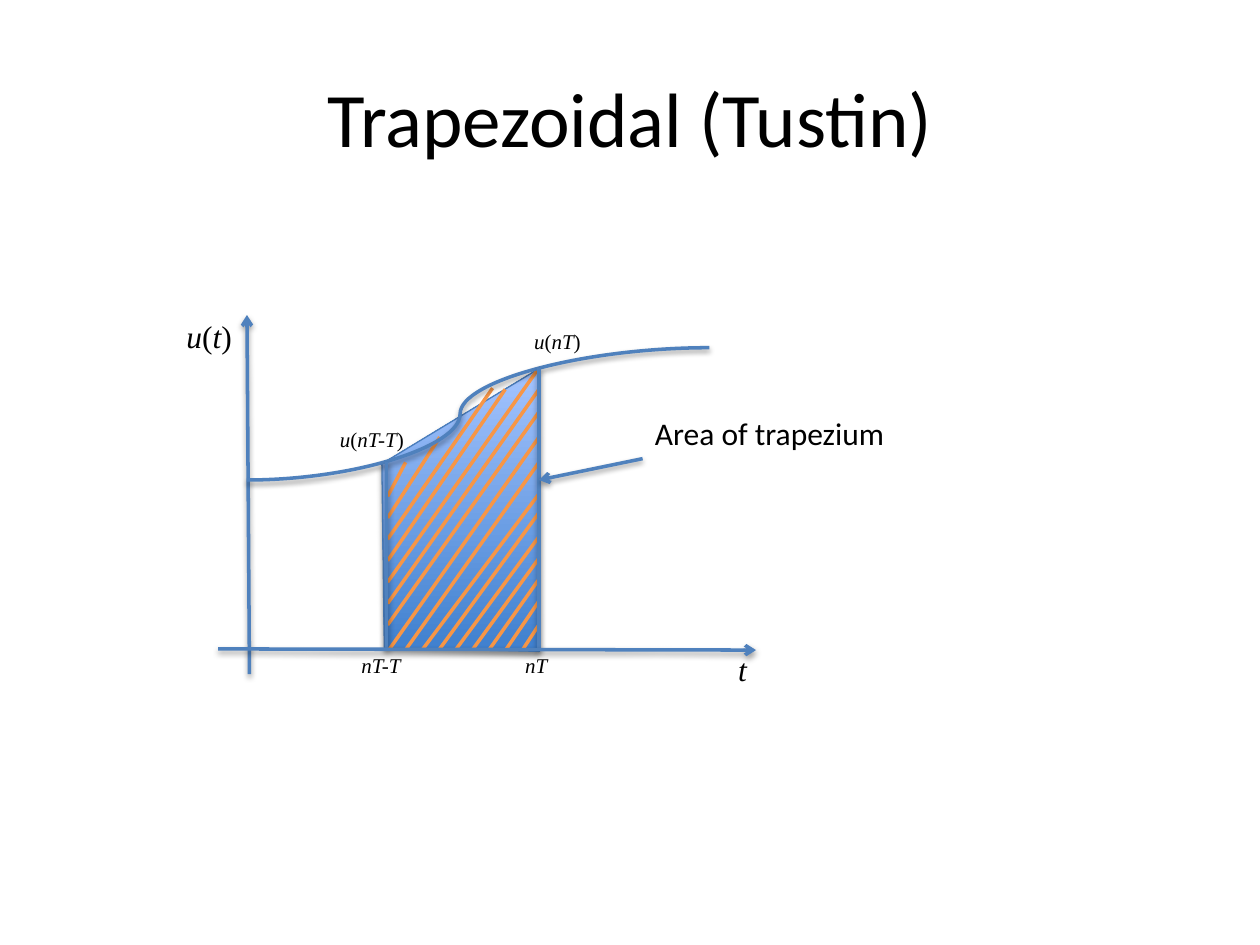
from pptx import Presentation
from pptx.dml.color import RGBColor
from pptx.enum.shapes import MSO_CONNECTOR
from pptx.enum.text import MSO_ANCHOR, MSO_AUTO_SIZE, PP_ALIGN
from pptx.oxml import parse_xml
from pptx.oxml.ns import nsdecls, qn
from pptx.util import Pt

STRAIGHT, CURVE = MSO_CONNECTOR.STRAIGHT, MSO_CONNECTOR.CURVE
MIDDLE, CENTER = MSO_ANCHOR.MIDDLE, PP_ALIGN.CENTER
FIT_SHAPE = MSO_AUTO_SIZE.SHAPE_TO_FIT_TEXT

BLACK = RGBColor(0x00, 0x00, 0x00)
BLUE = RGBColor(0x4F, 0x81, 0xBD)
EDGE = RGBColor(0x4B, 0x7E, 0xBC)
DEEP = RGBColor(0x3F, 0x80, 0xCE)
PALE = RGBColor(0xA4, 0xC4, 0xFF)
ORANGE = RGBColor(0xF7, 0x96, 0x46)
SANS, SERIF = "Calibri", "Times New Roman"


class Diagram:
    """Holds the slide and draws each kind of element; lengths in points."""

    line_width = 2

    def __init__(self, slide):
        self.s = slide

    def run(self, p, text, size, font, italic=False):
        r = p.add_run()
        r.text = text
        r.font.size, r.font.name = Pt(size), font
        r.font.italic = italic
        r.font.color.rgb = BLACK

    def title(self, text, x, y, w, h):
        sp = self.s.shapes.title
        sp.left, sp.top, sp.width, sp.height = Pt(x), Pt(y), Pt(w), Pt(h)
        tf = sp.text_frame
        tf.vertical_anchor = MIDDLE
        p = tf.paragraphs[0]
        p.alignment = CENTER
        self.run(p, text, 44, SANS)

    def label(self, runs, x, y, w, size, font=SERIF):
        """Add a one-line label from (text, italic) runs."""
        height = size * 1.2 + 7.2
        sp = self.s.shapes.add_textbox(Pt(x), Pt(y), Pt(w), Pt(height))
        tf = sp.text_frame
        tf.word_wrap = False
        tf.auto_size = FIT_SHAPE
        for text, italic in runs:
            self.run(tf.paragraphs[0], text, size, font, italic)

    def effects(self, sp, distance=0, alpha=0):
        """Set a downward shadow, or none when distance is 0."""
        shadow = ""
        if distance:
            shadow = (
                f'<a:outerShdw blurRad="40000" dist="{distance}" dir="5400000" rotWithShape="0">'
                f'<a:srgbClr val="000000"><a:alpha val="{alpha}"/></a:srgbClr></a:outerShdw>'
            )
        sp.element.spPr.append(
            parse_xml(f'<a:effectLst {nsdecls("a")}>{shadow}</a:effectLst>'))

    def line(self, start, end, color=BLUE, kind=STRAIGHT, arrow=False, shadow=True):
        c = self.s.shapes.add_connector(kind, *map(Pt, start + end))
        c.line.color.rgb = color
        c.line.width = Pt(self.line_width)
        if arrow:
            ln = c.element.spPr.find(qn("a:ln"))
            ln.append(parse_xml(f'<a:tailEnd {nsdecls("a")} type="arrow"/>'))
        if shadow:
            self.effects(c, 20000, 38000)
        else:
            self.effects(c)
        return c

    def curve(self, start, end, bend):
        c = self.line(start, end, kind=CURVE)
        geom = c.element.spPr.find(qn("a:prstGeom"))
        guides = geom.find(qn("a:avLst"))
        if guides is not None:
            geom.remove(guides)
        geom.append(parse_xml(
            f'<a:avLst {nsdecls("a")}><a:gd name="adj1" fmla="val {bend}"/></a:avLst>'))

    def area(self, points):
        first, *rest = [(Pt(x), Pt(y)) for x, y in points]
        builder = self.s.shapes.build_freeform(*first)
        builder.add_line_segments(rest, close=True)
        sp = builder.convert_to_shape()
        sp.fill.gradient()
        sp.fill.gradient_angle = 90
        for stop, color, position in zip(sp.fill.gradient_stops, (DEEP, PALE), (0, 1)):
            stop.color.rgb = color
            stop.position = position
        sp.line.color.rgb = EDGE
        sp.line.width = Pt(0.75)
        self.effects(sp, 23000, 35000)


def main():
    prs = Presentation()
    prs.slide_width, prs.slide_height = Pt(720), Pt(540)
    d = Diagram(prs.slides.add_slide(prs.slide_layouts[5]))
    d.title("Trapezoidal (Tustin)", 36, 21.6, 648, 90)

    left, right, base = 221, 308, 371

    # Trapezium and vertical axis
    d.area([(219.6, 370), (218.2, 265), (307.4, 211), (308.2, 372.2)])
    d.line((142.56, 385.2), (141.12, 180), arrow=True)

    # Hatching: from the base, then up the left side
    base_ends = [357, 343.5, 331, 319, 306.7, 293, 282.2, 264.2, 249.8]
    for i, y in enumerate(base_ends):
        d.line((298.8 - 9.54 * i, base), (right, y), ORANGE, shadow=False)
    side_ends = [(right, 235.4), (right, 222.5), (right, 210.2), (288.7, 222.5),
                 (281.5, 221.8), (251.3, 249.8), (231.8, 264.2)]
    for i, end in enumerate(side_ends):
        d.line((left + 0.5, 357.1 - 12.24 * i), end, ORANGE, shadow=False)

    # Signal, interval limits and time axis
    d.curve((141.12, 274.3), (405.4, 198.7), 46100)
    d.line((right, base), (right, 210.2))
    d.line((left, 264.2), (left, base))
    d.line((124.6, 370.8), (432, 371.5), arrow=True)

    # Axis and sample labels
    d.label([("u", True), ("(", False), ("t", True), (")", False)], 99.4, 177.8, 42.5, 18)
    d.label([("t", True)], 414.7, 367.9, 20.9, 18)
    for arg, x, y, w in [("nT-T", 187.2, 240.5, 52.6), ("nT", 298.1, 184.3, 42.5)]:
        d.label([("u", True), ("(", False), (arg, True), (")", False)], x, y, w, 12)
    for text, x, w in [("nT-T", 199.4, 39.6), ("nT", 293, 29.5)]:
        d.label([(text, True)], x, 369.4, w, 12)

    # Callout
    d.line((367.2, 262.1), (right, 274.3), arrow=True)
    d.label([("Area of trapezium", False)], 367.2, 233.3, 146.9, 18, SANS)

    prs.save("out.pptx")


if __name__ == "__main__":
    main()
